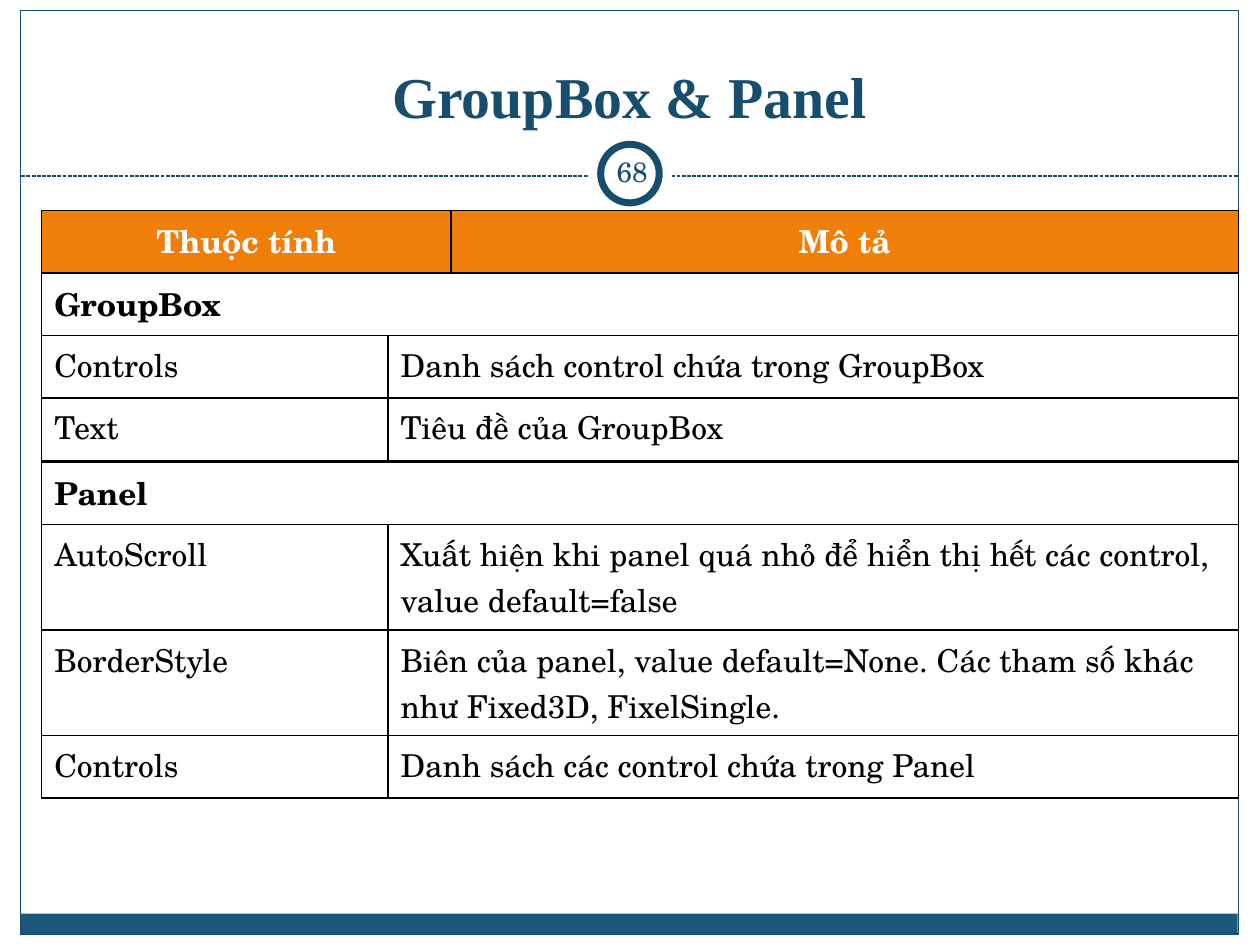
"""Build the slide on GroupBox and Panel properties."""
import pptx
import pptx.util
import pptx.dml.color
import pptx.enum.dml
import pptx.enum.shapes
import pptx.enum.text
import pptx.oxml
import pptx.oxml.ns
from pptx.util import Cm, Pt

RGBColor = pptx.dml.color.RGBColor
SHAPE = pptx.enum.shapes.MSO_SHAPE
ALIGN = pptx.enum.text.PP_ALIGN
ANCHOR = pptx.enum.text.MSO_ANCHOR

NAVY = RGBColor(0x18, 0x4E, 0x6D)
BAND_BLUE = RGBColor(0x1B, 0x58, 0x7C)
ORANGE = RGBColor(0xF0, 0x7F, 0x09)
WHITE = RGBColor(0xFF, 0xFF, 0xFF)
BLACK = RGBColor(0, 0, 0)
BODY_FONT = "TeX Gyre Schola"
TITLE_FONT = "Times New Roman"

TITLE = "GroupBox & Panel"
PAGE_NUMBER = "68"
HEADER = ("Thuộc tính", "Mô tả")
GROUPBOX = "GroupBox"
GROUPBOX_PROPERTIES = [
    ("Controls", "Danh sách control chứa trong GroupBox"),
    ("Text", "Tiêu đề của GroupBox"),
]
PANEL = "Panel"
PANEL_PROPERTIES = [
    ("AutoScroll", "Xuất hiện khi panel quá nhỏ để hiển thị hết các control, value default=false"),
    ("BorderStyle", "Biên của panel, value default=None. Các tham số khác như Fixed3D, FixelSingle."),
    ("Controls", "Danh sách các control chứa trong Panel"),
]

TABLE_LEFT = 0.84
ROW_HEIGHT, TWO_LINE_HEIGHT = 1.26, 2.13
LINE_CAPACITY = 58
NAME_WIDTH, HEADER_SHIFT, TEXT_WIDTH = 6.98, 1.27, 15.88


def add_part(slide, preset, box, fill=None, line=None, weight=0.75):
    part = slide.shapes.add_shape(preset, *map(Cm, box))
    part.shadow.inherit = False
    if fill is None:
        part.fill.background()
    else:
        part.fill.solid()
        part.fill.fore_color.rgb = fill
    if line is None:
        part.line.fill.background()
    else:
        part.line.color.rgb = line
        part.line.width = Pt(weight)


def set_text(frame, text, font, size, color, bold=False, align=ALIGN.LEFT):
    frame.word_wrap = True
    paragraph = frame.paragraphs[0]
    paragraph.text = text
    paragraph.alignment = align
    paragraph.font.name = font
    paragraph.font.size = Pt(size)
    paragraph.font.bold = bold
    paragraph.font.color.rgb = color


def add_label(slide, box, anchor, inset, *text_style):
    frame = slide.shapes.add_textbox(*map(Cm, box)).text_frame
    frame.vertical_anchor = anchor
    if inset is not None:
        frame.margin_left = frame.margin_right = Cm(inset)
        frame.margin_top = frame.margin_bottom = Cm(inset)
    set_text(frame, *text_style, align=ALIGN.CENTER)


def style_cell(cell, fill):
    if fill is None:
        cell.fill.background()
    else:
        cell.fill.solid()
        cell.fill.fore_color.rgb = fill
    properties = cell._tc.get_or_add_tcPr()
    for index, side in enumerate("LRTB"):
        properties.insert(index, pptx.oxml.parse_xml(
            f'<a:ln{side} {pptx.oxml.ns.nsdecls("a")} w="12700">'
            f'<a:solidFill><a:srgbClr val="{BLACK}"/></a:solidFill></a:ln{side}>'))


def row_height(texts):
    return TWO_LINE_HEIGHT if len(texts[-1]) > LINE_CAPACITY else ROW_HEIGHT


def add_property_table(slide, top, widths, section, properties, header=None):
    rows = [(section,), *properties]
    if header:
        rows.insert(0, header)
    heights = [row_height(texts) for texts in rows]
    table = slide.shapes.add_table(
        len(rows), len(widths), Cm(TABLE_LEFT), Cm(top),
        Cm(sum(widths)), Cm(sum(heights))).table
    table.first_row = table.horz_banding = False
    for column, width in zip(table.columns, widths):
        column.width = Cm(width)
    last = len(widths) - 1
    for r, (texts, height) in enumerate(zip(rows, heights)):
        table.rows[r].height = Cm(height)
        is_header = texts is header
        for c in range(len(widths)):
            style_cell(table.cell(r, c), ORANGE if is_header else None)
        starts = [0] if len(texts) == 1 else [0, last if is_header else 1]
        ends = [start - 1 for start in starts[1:]] + [last]
        for text, start, end in zip(texts, starts, ends):
            cell = table.cell(r, start)
            if end > start:
                cell.merge(table.cell(r, end))
            set_text(cell.text_frame, text, BODY_FONT, 18,
                     WHITE if is_header else BLACK,
                     bold=is_header or len(texts) == 1,
                     align=ALIGN.CENTER if is_header else ALIGN.LEFT)


def add_divider(slide, left, right, y):
    divider = slide.shapes.add_connector(
        pptx.enum.shapes.MSO_CONNECTOR.STRAIGHT, Cm(left), Cm(y), Cm(right), Cm(y))
    divider.line.color.rgb = NAVY
    divider.line.width = Pt(0.75)
    divider.line.dash_style = pptx.enum.dml.MSO_LINE.SQUARE_DOT
    divider._element.spPr.append(
        pptx.oxml.parse_xml(f'<a:effectLst {pptx.oxml.ns.nsdecls("a")}/>'))


def main():
    deck = pptx.Presentation()
    deck.slide_width, deck.slide_height = Cm(25.4), Cm(19.05)
    slide = deck.slides.add_slide(deck.slide_layouts[6])

    add_part(slide, SHAPE.RECTANGLE, (0.41, 18.42, 24.54, 0.43), fill=BAND_BLUE)
    add_part(slide, SHAPE.RECTANGLE, (0.42, 0.21, 24.55, 18.62), line=NAVY)
    add_divider(slide, 0.43, 24.97, 3.55)
    add_part(slide, SHAPE.OVAL, (11.85, 2.66, 1.7, 1.7), fill=WHITE)
    add_part(slide, SHAPE.OVAL, (12.11, 2.91, 1.18, 1.18), WHITE, NAVY, 4)

    add_label(slide, (0.84, 0.64, 23.7, 2.11), ANCHOR.BOTTOM, None,
              TITLE, TITLE_FONT, 33, NAVY, True)
    add_property_table(slide, 4.24, (NAME_WIDTH, HEADER_SHIFT, TEXT_WIDTH),
                       GROUPBOX, GROUPBOX_PROPERTIES, HEADER)
    add_property_table(slide, 9.31, (NAME_WIDTH, HEADER_SHIFT + TEXT_WIDTH),
                       PANEL, PANEL_PROPERTIES)
    add_label(slide, (12.11, 2.84, 1.27, 1.22), ANCHOR.MIDDLE, 0.13,
              PAGE_NUMBER, BODY_FONT, 16, NAVY)
    deck.save("out.pptx")


if __name__ == "__main__":
    main()
